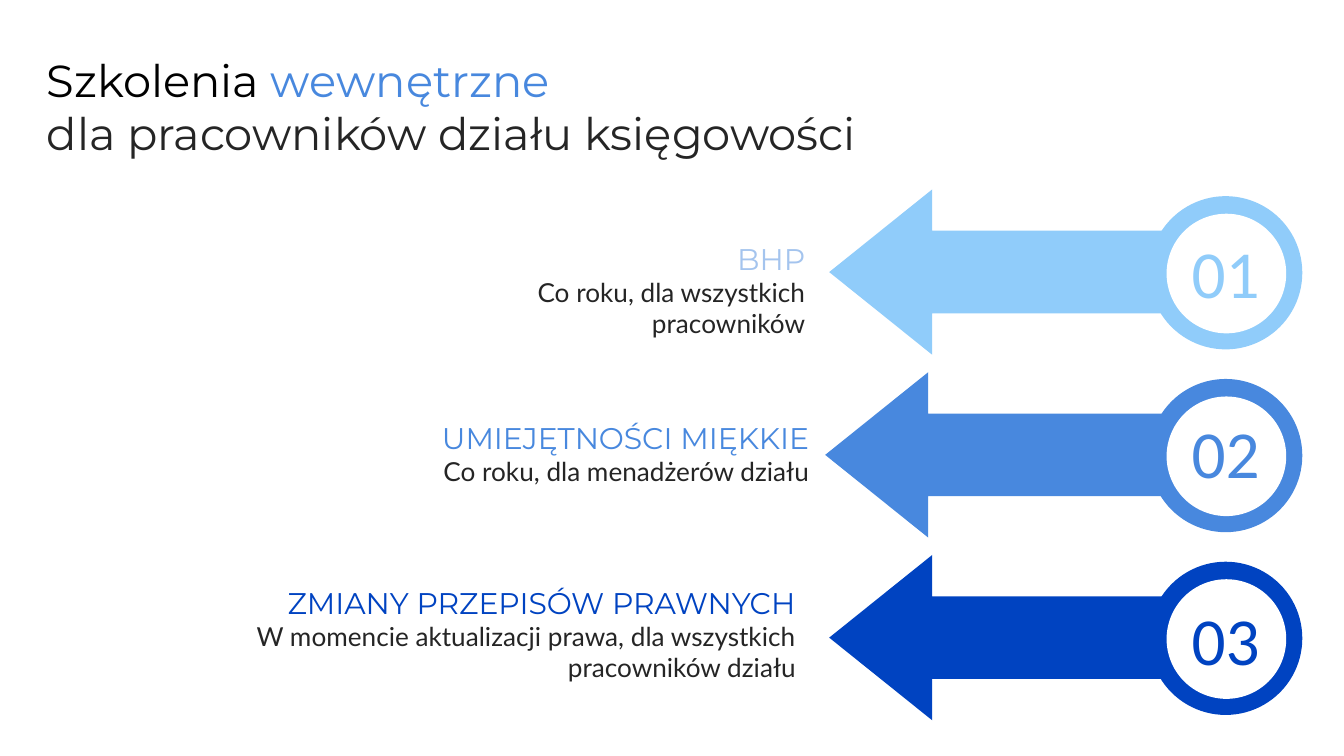
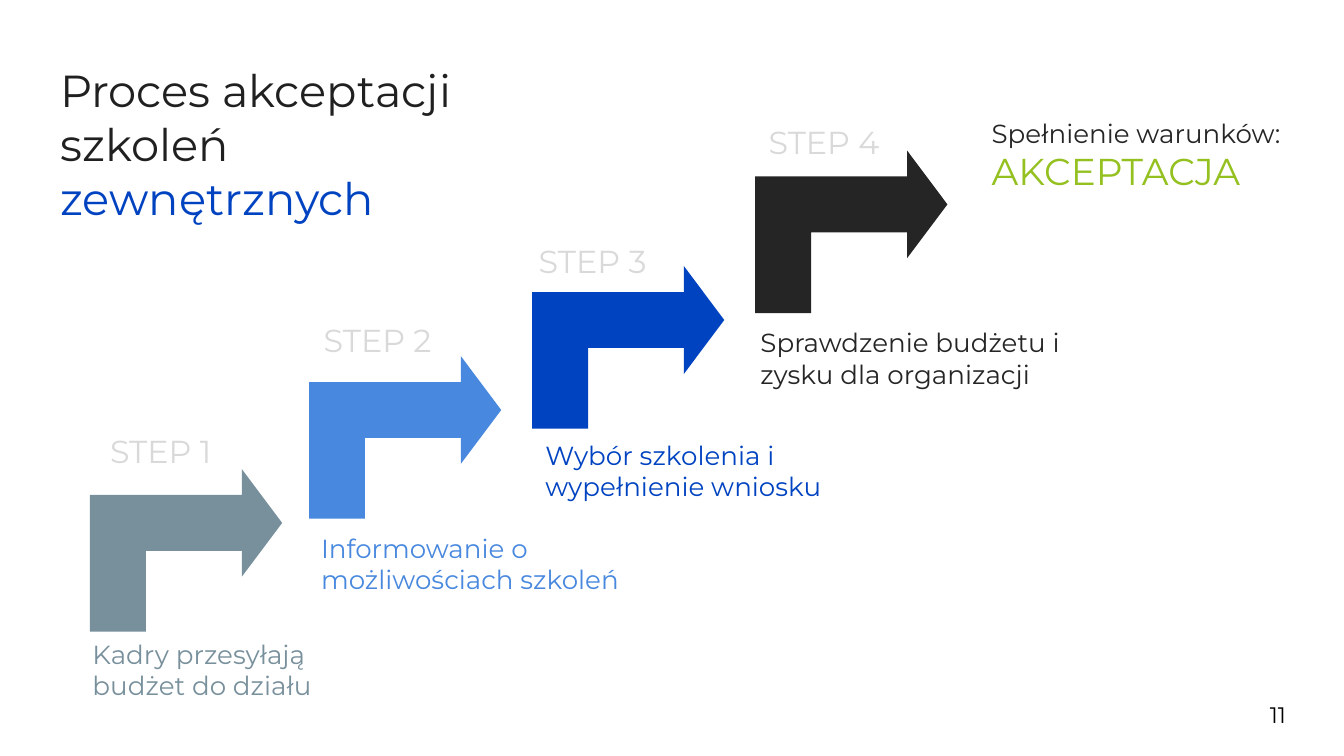
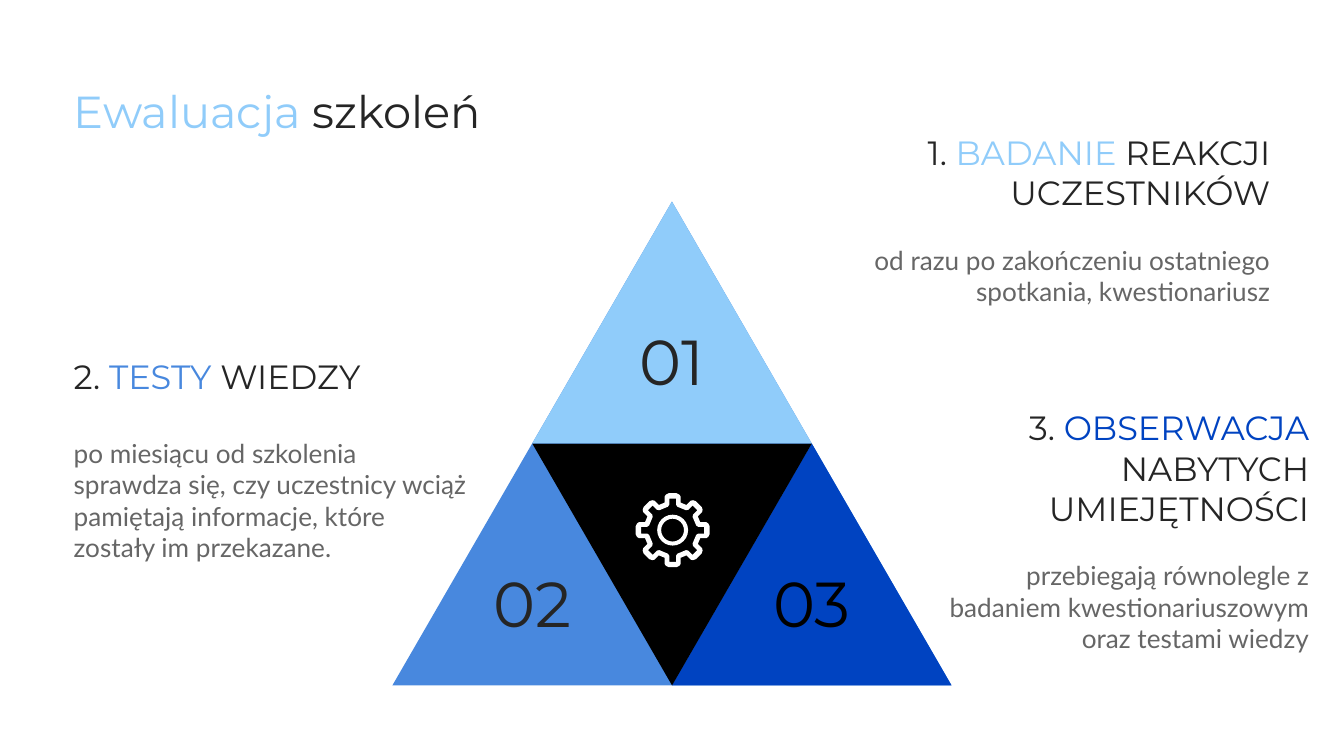
"""Build three slides about staff training: kinds, approval process and evaluation."""
import collections
import dataclasses
import math

import pptx
import pptx.dml.color
import pptx.enum.shapes
import pptx.enum.text
import pptx.util

EMU_PER_PX = 9144
SLIDE_WIDTH = 1000
SHAPES = pptx.enum.shapes.MSO_SHAPE
ALIGN = pptx.enum.text.PP_ALIGN
ANCHOR = pptx.enum.text.MSO_ANCHOR
LINE_BREAK = "\n"

Box = collections.namedtuple("Box", "left top width height")
Run = collections.namedtuple("Run", "text color size font")


@dataclasses.dataclass(frozen=True)
class Theme:
    """Colours, fonts and type sizes shared by the slides."""

    sky: str = "90CCFA"
    blue: str = "4888DE"
    navy: str = "0043C1"
    pale: str = "A4C4EE"
    slate: str = "78909C"
    green: str = "94C120"
    ink: str = "252525"
    title_ink: str = "202020"
    gray: str = "666666"
    silver: str = "D9D9D9"
    black: str = "000000"
    white: str = "FFFFFF"
    display: str = "Montserrat"
    body: str = "Lato"
    digits: str = "Calibri"
    title_size: int = 24
    item_size: int = 16
    step_size: int = 17
    heading_size: int = 18
    body_size: int = 14
    verdict_size: int = 20
    badge_size: int = 36
    cell_size: int = 34
    page_size: int = 12


THEME = Theme()


def px(length):
    """Turn px into EMU."""
    return pptx.util.Emu(round(length * EMU_PER_PX))


def place(box):
    """Return the box as four EMU lengths."""
    return [px(length) for length in box]


def shift(box, left, top, width, height):
    """Return a box placed relative to the corner of another one."""
    return Box(box.left + left, box.top + top, width, height)


def rgb(color):
    """Turn a hex string into a colour."""
    return pptx.dml.color.RGBColor.from_string(color)


def paint(shape, color):
    """Give a shape a plain fill without line or shadow."""
    shape.shadow.inherit = False
    shape.fill.solid()
    shape.fill.fore_color.rgb = rgb(color)
    shape.line.fill.background()


def add_shape(shapes, kind, box, color, adjustments=()):
    """Add a plain preset shape."""
    shape = shapes.add_shape(kind, *place(box))
    paint(shape, color)
    for index, value in enumerate(adjustments):
        shape.adjustments[index] = value
    return shape


def add_text(slide, box, paragraphs, align=ALIGN.LEFT, anchor=ANCHOR.TOP, gap=0):
    """Add a text box of paragraphs made of runs, with a gap in points between them."""
    text_frame = slide.shapes.add_textbox(*place(box)).text_frame
    text_frame.word_wrap = True
    text_frame.vertical_anchor = anchor
    text_frame.margin_left = text_frame.margin_right = px(10)
    text_frame.margin_top = text_frame.margin_bottom = px(10)
    for index, runs in enumerate(paragraphs):
        paragraph = text_frame.add_paragraph() if index else text_frame.paragraphs[0]
        paragraph.alignment = align
        if index and gap:
            paragraph.space_before = pptx.util.Pt(gap)
        for piece in runs:
            if piece.text == LINE_BREAK:
                paragraph.add_line_break()
                continue
            run = paragraph.add_run()
            run.text = piece.text
            run.font.name = piece.font
            run.font.size = pptx.util.Pt(piece.size)
            run.font.color.rgb = rgb(piece.color)


def display(text, color, size):
    """Return a run in the display font."""
    return Run(text, color, size, THEME.display)


def body(text, color):
    """Return a run of body text."""
    return Run(text, color, THEME.body_size, THEME.body)


def add_title(slide, box, pieces, anchor=ANCHOR.BOTTOM):
    """Add the slide title from (text, colour) pairs."""
    runs = [display(text, color, THEME.title_size) for text, color in pieces]
    add_text(slide, box, [runs], anchor=anchor)


def add_number(slide, box, text, color, size, font):
    """Add a large centred number."""
    add_text(slide, box, [[Run(text, color, size, font)]], ALIGN.CENTER, ANCHOR.BOTTOM)


def draw_badge_arrow(slide, box, arrow_shift, number_top, number, color):
    """Draw an arrow that leaves a numbered ring."""
    group = slide.shapes.add_group_shape()
    add_shape(group.shapes, SHAPES.LEFT_ARROW, shift(box, arrow_shift, 0, 280, box.height),
              color, (0.5, 0.623))
    add_shape(group.shapes, SHAPES.OVAL, shift(box, 238, 5, 114, 114), color)
    add_shape(group.shapes, SHAPES.OVAL, shift(box, 251, 18, 89, 89), THEME.white)
    add_number(slide, shift(box, 251, number_top, 88, 79), number, color,
               THEME.badge_size, THEME.digits)


def build_internal_training(slide):
    """Show the internal trainings as three arrows."""
    add_title(slide, Box(25, 29, 716, 113),
              [("Szkolenia ", THEME.black), ("wewnętrzne ", THEME.blue),
               (LINE_BREAK, THEME.blue),
               ("dla pracowników działu księgowości", THEME.ink)], ANCHOR.TOP)
    trainings = [
        ("BHP", "Co roku, dla wszystkich pracowników",
         Box(381, 169, 228, 77), THEME.pale, THEME.sky, 0, 22),
        ("UMIEJĘTNOŚCI MIĘKKIE", "Co roku, dla menadżerów działu",
         Box(294, 302, 318, 74), THEME.blue, THEME.blue, -3, 20),
        ("ZMIANY PRZEPISÓW PRAWNYCH",
         "W momencie aktualizacji prawa, dla wszystkich pracowników działu",
         Box(78, 425, 524, 100), THEME.navy, THEME.navy, 0, 23),
    ]
    for index, training in enumerate(trainings):
        name, detail, text_box, name_color, color, arrow_shift, number_top = training
        add_text(slide, text_box, [[display(name, name_color, THEME.item_size)],
                                   [body(detail, THEME.ink)]], ALIGN.RIGHT)
        draw_badge_arrow(slide, Box(617, 141 + 136 * index, 352, 123), arrow_shift,
                         number_top, f"{index + 1:02d}", color)


def draw_step(slide, box, label, label_corner, caption, caption_box, color):
    """Draw a bent arrow with its step label above and caption below."""
    arrow = add_shape(slide.shapes, SHAPES.BENT_UP_ARROW, box, color, (0.344, 0.331, 0.248))
    arrow.rotation = 90
    arrow.element.spPr.xfrm.set("flipH", "1")
    add_text(slide, shift(box, *label_corner, 148, 31),
             [[display(label, THEME.silver, THEME.step_size)]])
    add_text(slide, shift(box, *caption_box), [[display(caption, color, THEME.body_size)]])


def build_approval_process(slide):
    """Show the approval process as rising steps."""
    steps = [
        ((78, 338), (-6, -27), "Kadry przesyłają budżet do działu",
         (-19, 127, 204, 66), THEME.slate),
        ((241, 254), (-10, -25), "Informowanie o możliwościach szkoleń",
         (-12, 132, 265, 100), THEME.blue),
        ((407, 187), (-16, -17), "Wybór szkolenia i wypełnienie wniosku",
         (-11, 130, 293, 100), THEME.navy),
        ((573, 101), (-11, -20), "Sprawdzenie budżetu i zysku dla organizacji",
         (-17, 132, 282, 100), THEME.ink),
    ]
    for index, (corner, label_corner, caption, caption_box, color) in enumerate(steps, 1):
        draw_step(slide, Box(*corner, 121, 143), f"STEP {index}", label_corner,
                  caption, caption_box, color)
    add_text(slide, Box(935, 510, 60, 43),
             [[display("11", THEME.black, THEME.page_size)]], anchor=ANCHOR.MIDDLE)
    add_title(slide, Box(35, 64, 371, 113),
              [("Proces akceptacji szkoleń ", THEME.title_ink),
               ("zewnętrznych", THEME.navy)])
    add_text(slide, Box(728, 77, 248, 100),
             [[display("Spełnienie warunków: ", THEME.ink, THEME.body_size),
               display("AKCEPTACJA", THEME.green, THEME.verdict_size)]])


def gear_outline(center_x, center_y, half_tooth):
    """Repeat a mirrored half tooth, given as (across, outward), around a centre."""
    tooth = [(-across, out) for across, out in half_tooth] + half_tooth[::-1]
    points = []
    for index in range(8):
        sine, cosine = math.sin(index * math.pi / 4), math.cos(index * math.pi / 4)
        points += [(px(center_x + across * cosine + out * sine),
                    px(center_y + across * sine - out * cosine)) for across, out in tooth]
    return points


def draw_gear(slide, box):
    """Draw an outlined gear with a ring at its centre."""
    center_x, center_y = box.left + box.width / 2, box.top + box.height / 2
    outer = gear_outline(center_x, center_y, [(6, 20.5), (6, 25), (5, 26.5), (3, 27.5)])
    inner = gear_outline(center_x, center_y, [(3.5, 17.5), (2.5, 19), (2.5, 23.5)])
    group = slide.shapes.add_group_shape()
    builder = group.shapes.build_freeform(*outer[0], scale=1.0)
    builder.add_line_segments(outer[1:], close=True)
    builder.move_to(*inner[0])
    builder.add_line_segments(inner[1:], close=True)
    paint(builder.convert_to_shape(), THEME.white)
    add_shape(group.shapes, SHAPES.DONUT, shift(box, 16, 16, 23, 23), THEME.white, (0.13,))


def draw_pyramid(slide, box):
    """Draw a triangle split into three numbered cells around a gear."""
    width, height = box.width // 2, box.height // 2
    top = shift(box, width // 2, 0, width, height)
    left = shift(box, 0, height, width, height)
    right = shift(box, width, height, width, height)
    middle = shift(top, 0, height, width, height)
    group = slide.shapes.add_group_shape()
    add_shape(group.shapes, SHAPES.ISOSCELES_TRIANGLE, box, THEME.blue)
    add_shape(group.shapes, SHAPES.ISOSCELES_TRIANGLE, right, THEME.navy)
    add_shape(group.shapes, SHAPES.ISOSCELES_TRIANGLE, middle, THEME.black).rotation = 180
    add_shape(group.shapes, SHAPES.ISOSCELES_TRIANGLE, top, THEME.sky)
    draw_gear(slide, shift(middle, 77, 37, 55, 55))
    cells = [("01", top, THEME.ink), ("02", left, THEME.ink), ("03", right, THEME.black)]
    for number, cell, color in cells:
        add_number(slide, shift(cell, 52, 77, 104, 79), number, color,
                   THEME.cell_size, THEME.display)


def build_evaluation(slide):
    """Show three ways of evaluating a training around a pyramid."""
    add_title(slide, Box(45, 41, 508, 71),
              [("Ewaluacja", THEME.sky), (" szkoleń", THEME.ink)])
    draw_pyramid(slide, Box(292, 150, 416, 360))
    methods = [
        (Box(557, 88, 398, 127), "1. ", "BADANIE", " REAKCJI UCZESTNIKÓW", THEME.sky,
         "od razu po zakończeniu ostatniego spotkania, kwestionariusz", ALIGN.RIGHT, 17),
        (Box(45, 255, 314, 127), "2. ", "TESTY", " WIEDZY", THEME.blue,
         "po miesiącu od szkolenia sprawdza się, czy uczestnicy wciąż pamiętają "
         "informacje, które zostały im przekazane.", ALIGN.LEFT, 22),
        (Box(681, 293, 303, 127), "3. ", "OBSERWACJA", " NABYTYCH UMIEJĘTNOŚCI",
         THEME.navy, "przebiegają równolegle z badaniem kwestionariuszowym oraz "
         "testami wiedzy", ALIGN.RIGHT, 17),
    ]
    for box, number, keyword, rest, color, detail, align, gap in methods:
        heading = [display(text, tint, THEME.heading_size) for text, tint in
                   ((number, THEME.ink), (keyword, color), (rest, THEME.ink))]
        add_text(slide, box, [heading, [body(detail, THEME.gray)]], align, gap=gap)


def main():
    """Build and save the presentation."""
    presentation = pptx.Presentation()
    presentation.slide_width = px(SLIDE_WIDTH)
    presentation.slide_height = px(SLIDE_WIDTH * 9 / 16)
    for build in (build_internal_training, build_approval_process, build_evaluation):
        build(presentation.slides.add_slide(presentation.slide_layouts[6]))
    presentation.save("out.pptx")


if __name__ == "__main__":
    main()
